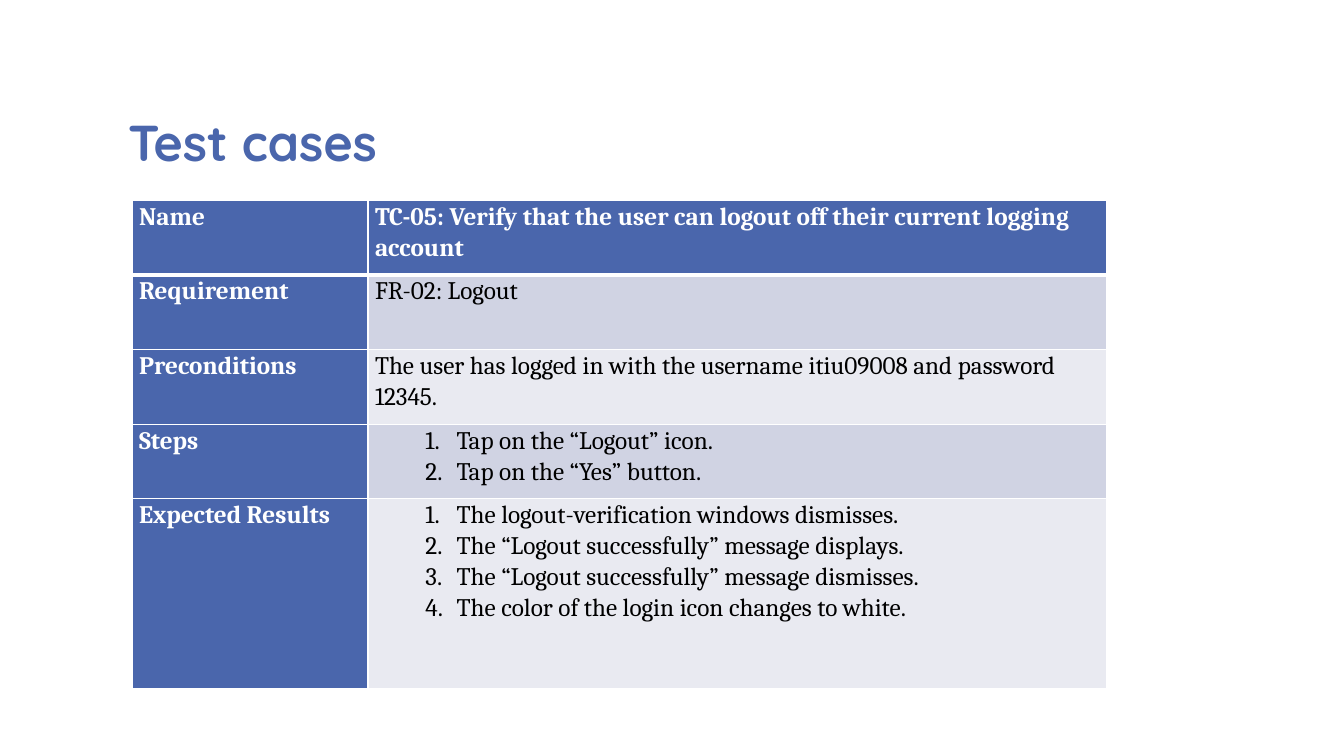
from dataclasses import dataclass

from pptx import Presentation
from pptx.dml.color import RGBColor
from pptx.enum import text
from pptx.oxml.ns import qn
from pptx.util import Inches, Pt
from lxml import etree


@dataclass(frozen=True)
class Theme:
    blue: RGBColor = RGBColor.from_string("4A66AC")
    dark: RGBColor = RGBColor.from_string("D0D3E3")
    light: RGBColor = RGBColor.from_string("E9EAF1")
    white: RGBColor = RGBColor.from_string("FFFFFF")
    black: RGBColor = RGBColor.from_string("000000")
    head: str = "Quicksand"
    body: str = "Cambria"
    big: int = 36
    size: int = 18


theme = Theme()


def style(para, name, size, color, bold):
    font = para.font
    font.name, font.size, font.bold = name, Pt(size), bold
    font.color.rgb = color


def edge(cell, side, width):
    """Draw one white cell border; side is L, R, T or B."""
    line = etree.SubElement(cell._tc.get_or_add_tcPr(), qn(f"a:ln{side}"), w=str(Pt(width)))
    fill = etree.SubElement(line, qn("a:solidFill"))
    etree.SubElement(fill, qn("a:srgbClr"), val=str(theme.white))


prs = Presentation()
prs.slide_width, prs.slide_height = Inches(13.33), Inches(7.5)
slide = prs.slides.add_slide(prs.slide_layouts[5])

title = slide.shapes.title
title.left, title.top = Inches(1.17), Inches(0.58)
title.width, title.height = Inches(9.5), Inches(1.17)
frame = title.text_frame
frame.text = "Test cases"
frame.vertical_anchor = text.MSO_ANCHOR.BOTTOM
para = frame.paragraphs[0]
para.alignment = text.PP_ALIGN.LEFT
para.line_spacing = 0.8
style(para, theme.head, theme.big, theme.blue, True)

# Label, lines of text, numbered or not, row height
rows = [
    ("Name", ["TC-05: Verify that the user can logout off their current logging account"], False, 0.74),
    ("Requirement", ["FR-02: Logout"], False, 0.74),
    ("Preconditions", ["The user has logged in with the username itiu09008 and password 12345."], False, 0.74),
    ("Steps", ["Tap on the “Logout” icon.", "Tap on the “Yes” button."], True, 0.74),
    ("Expected Results", [
        "The logout-verification windows dismisses.",
        "The “Logout successfully” message displays.",
        "The “Logout successfully” message dismisses.",
        "The color of the login icon changes to white.",
    ], True, 1.88),
]
widths = [2.34, 7.33]

table = slide.shapes.add_table(
    len(rows), len(widths), Inches(1.31), Inches(1.99),
    Inches(sum(widths)), Inches(sum(row[-1] for row in rows)),
).table
table.first_col = True
for col, width in zip(table.columns, widths):
    col.width = Inches(width)

for r, (label, lines, listed, height) in enumerate(rows):
    table.rows[r].height = Inches(height)
    for c, words in enumerate([[label], lines]):
        cell = table.cell(r, c)
        cell.margin_left = cell.margin_right = Inches(0.07)
        cell.margin_top = cell.margin_bottom = 0
        for side in "LRTB":
            thick = (r, side) in [(0, "B"), (1, "T")]
            edge(cell, side, 3 if thick else 1)
        strong = r == 0 or c == 0
        cell.fill.solid()
        cell.fill.fore_color.rgb = theme.blue if strong else theme.dark if r % 2 else theme.light
        cell.text_frame.text = "\n".join(words)
        for para in cell.text_frame.paragraphs:
            para.line_spacing = 1.07
            if c == 1 and listed:
                props = para._p.get_or_add_pPr()
                props.set("marL", str(Inches(0.81)))
                props.set("indent", str(Inches(-0.31)))
                etree.SubElement(props, qn("a:buAutoNum"), type="arabicPeriod")
            style(para, theme.body, theme.size, theme.white if strong else theme.black, strong)

prs.save("out.pptx")
